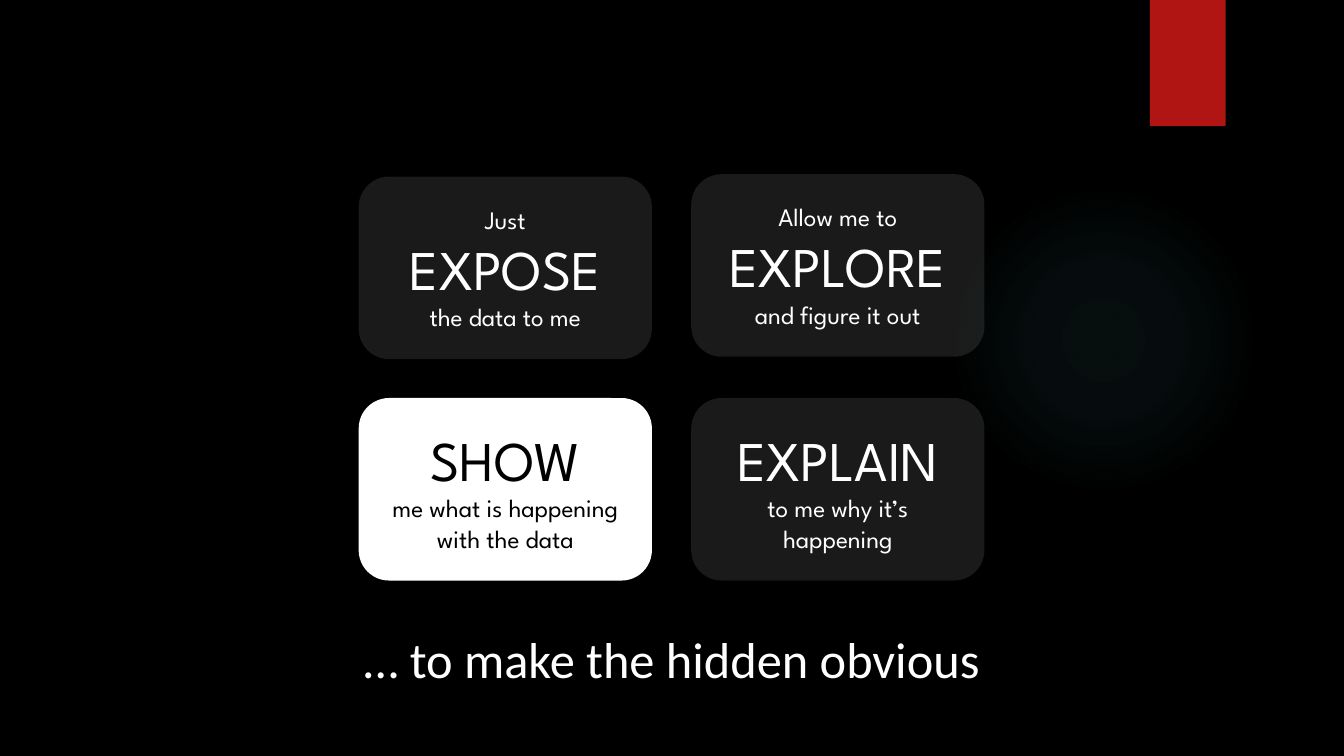
from dataclasses import dataclass

from lxml import etree
from pptx import Presentation
from pptx.dml.color import RGBColor
from pptx.enum.shapes import MSO_SHAPE
from pptx.enum.text import MSO_ANCHOR, MSO_AUTO_SIZE, PP_ALIGN
from pptx.oxml import parse_xml
from pptx.oxml.ns import nsdecls, qn
from pptx.util import Cm, Pt

ROUNDED, RECT, OVAL = MSO_SHAPE.ROUNDED_RECTANGLE, MSO_SHAPE.RECTANGLE, MSO_SHAPE.OVAL
MIDDLE, CENTER = MSO_ANCHOR.MIDDLE, PP_ALIGN.CENTER
GROW = MSO_AUTO_SIZE.SHAPE_TO_FIT_TEXT


@dataclass(frozen=True)
class Theme:
    black: str = "000000"
    white: str = "FFFFFF"
    red: str = "B01513"
    glow: str = "50B9C1"
    card_opacity: int = 10
    keyword: int = 40
    detail: int = 18
    closing: int = 36
    card_font: str = "League Spartan"
    closing_font: str = "Calibri"


THEME = Theme()
CARD_WIDTH, CARD_HEIGHT = 7.39, 4.6
LEFT_COLUMN, RIGHT_COLUMN = 9.04, 17.42
BOTTOM_ROW = 10.03

# left, top, highlighted, lines; the line in capitals is the keyword
CARDS = [
    (LEFT_COLUMN, BOTTOM_ROW, True, ["SHOW", "me what is happening with the data"]),
    (RIGHT_COLUMN, BOTTOM_ROW, False, ["EXPLAIN", "to me why it’s happening"]),
    (RIGHT_COLUMN, 4.39, False, ["Allow me to", "EXPLORE", "and figure it out"]),
    (LEFT_COLUMN, 4.45, False, ["Just", "EXPOSE", "the data to me"]),
]


def add_shape(slide, kind, left, top, width, height, color):
    sp = slide.shapes.add_shape(kind, Cm(left), Cm(top), Cm(width), Cm(height))
    sp.shadow.inherit = False
    sp.line.fill.background()
    sp.fill.solid()
    sp.fill.fore_color.rgb = RGBColor.from_string(color)
    return sp


def set_opacity(sp, percent):
    color = sp.fill._xPr.find(qn("a:solidFill"))[0]
    etree.SubElement(color, qn("a:alpha"), val=str(percent * 1000))


def add_glow(slide):
    """Add the circle that fades out from its centre."""
    sp = add_shape(slide, OVAL, 23.9, 4.65, 7.82, 7.82, THEME.glow)
    stops = "".join(
        f'<a:gs pos="{pos * 1000}"><a:srgbClr val="{THEME.glow}">'
        f'<a:alpha val="{alpha * 1000}"/></a:srgbClr></a:gs>'
        for pos, alpha in [(0, 7), (36, 6), (69, 0)]
    )
    gradient = parse_xml(
        f'<a:gradFill {nsdecls("a")}><a:gsLst>{stops}</a:gsLst><a:path path="circle">'
        '<a:fillToRect l="50000" t="50000" r="50000" b="50000"/></a:path></a:gradFill>'
    )
    spPr = sp.fill._xPr
    spPr.replace(spPr.find(qn("a:solidFill")), gradient)


def add_run(p, text, size, font, color):
    p.alignment = CENTER
    r = p.add_run()
    r.text = text
    r.font.size = Pt(size)
    r.font.name = font
    r.font.color.rgb = RGBColor.from_string(color)


def add_card(slide, left, top, highlighted, lines):
    sp = add_shape(slide, ROUNDED, left, top, CARD_WIDTH, CARD_HEIGHT, THEME.white)
    if not highlighted:
        set_opacity(sp, THEME.card_opacity)
    tf = sp.text_frame
    tf.word_wrap = True
    tf.vertical_anchor = MIDDLE
    for i, line in enumerate(lines):
        p = tf.add_paragraph() if i else tf.paragraphs[0]
        size = THEME.keyword if line.isupper() else THEME.detail
        color = THEME.black if highlighted else THEME.white
        add_run(p, line, size, THEME.card_font, color)


def add_closing_line(slide, text):
    box = slide.shapes.add_textbox(Cm(8.84), Cm(15.7), Cm(16.18), Cm(1.8))
    tf = box.text_frame
    tf.word_wrap = False
    tf.auto_size = GROW
    add_run(tf.paragraphs[0], text, THEME.closing, THEME.closing_font, THEME.white)


def main():
    prs = Presentation()
    prs.slide_width, prs.slide_height = Cm(33.87), Cm(19.05)
    slide = prs.slides.add_slide(prs.slide_layouts[6])
    slide.background.fill.solid()
    slide.background.fill.fore_color.rgb = RGBColor.from_string(THEME.black)
    add_glow(slide)
    add_shape(slide, RECT, 28.98, 0, 1.91, 3.18, THEME.red)
    for card in CARDS:
        add_card(slide, *card)
    add_closing_line(slide, "… to make the hidden obvious")
    prs.save("out.pptx")


if __name__ == "__main__":
    main()
